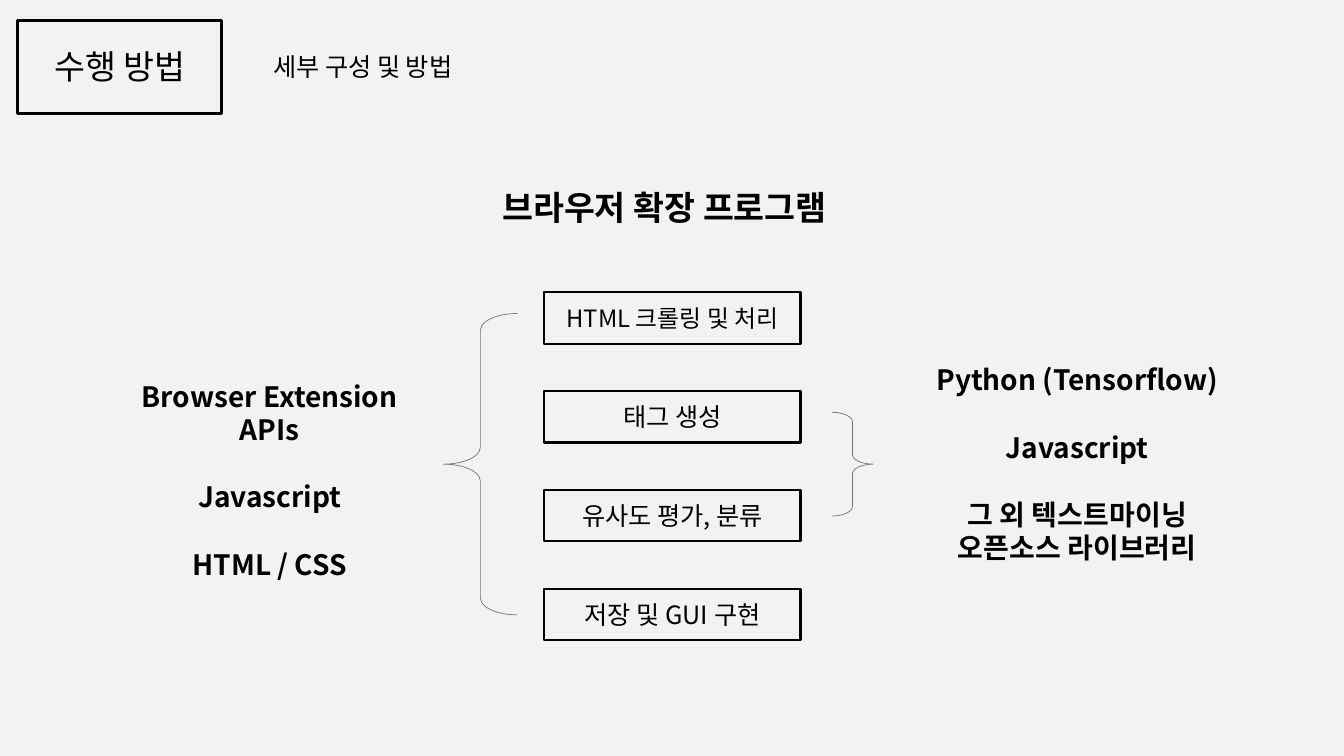
from pptx import Presentation
from pptx.dml.color import RGBColor
from pptx.enum.shapes import MSO_SHAPE
from pptx.enum.text import MSO_ANCHOR, MSO_AUTO_SIZE, PP_ALIGN
from pptx.oxml.ns import qn
from pptx.util import Pt
from lxml import etree

PX = 9144  # 100 px to the inch
FONT = "Noto Sans CJK KR"
BLACK = RGBColor(0x00, 0x00, 0x00)
GRAY = RGBColor(0x76, 0x71, 0x71)
PAPER = RGBColor(0xF2, 0xF2, 0xF2)

RECTANGLE = MSO_SHAPE.RECTANGLE
LEFT_BRACE, RIGHT_BRACE = MSO_SHAPE.LEFT_BRACE, MSO_SHAPE.RIGHT_BRACE
LEFT, CENTER = PP_ALIGN.LEFT, PP_ALIGN.CENTER
TOP, MIDDLE = MSO_ANCHOR.TOP, MSO_ANCHOR.MIDDLE
NO_AUTOFIT = MSO_AUTO_SIZE.NONE

TWO_CONTENT_LAYOUT = 3
STEPS = [
    ("HTML 크롤링 및 처리", 17),
    ("태그 생성", 18),
    ("유사도 평가, 분류", 18),
    ("저장 및 GUI 구현", 18),
]
STEP_TOP, STEP_PITCH = 290, 98
# Each tool is a text with the space before it in points
FRONT_TOOLS = [("Browser Extension APIs", 0), ("Javascript", 24), ("HTML / CSS", 24)]
ANALYSIS_TOOLS = [
    ("Python (Tensorflow)", 0),
    ("Javascript", 24),
    ("그 외 텍스트마이닝", 24),
    ("오픈소스 라이브러리", 0),
]


def scaled(bounds):
    return [length * PX for length in bounds]


def place(box, bounds):
    box.left, box.top, box.width, box.height = scaled(bounds)


def write(box, items, size, bold=False, align=CENTER, anchor=TOP):
    """Fill a box with (text, space before) paragraphs."""
    frame = box.text_frame
    frame.word_wrap = True
    frame.auto_size = NO_AUTOFIT
    frame.vertical_anchor = anchor
    for index, (text, space) in enumerate(items):
        para = frame.add_paragraph() if index else frame.paragraphs[0]
        para.text = text
        para.alignment = align
        para.space_before = Pt(space)
        # No bullet and no hanging indent
        properties = para._p.get_or_add_pPr()
        properties.set("marL", "0")
        properties.set("indent", "0")
        etree.SubElement(properties, qn("a:buNone"))
        para.font.size = Pt(size)
        para.font.bold = bold
        para.font.color.rgb = BLACK
        para.font.name = FONT
        # Korean letters take the East Asian font
        east_asian = etree.SubElement(properties.find(qn("a:defRPr")), qn("a:ea"))
        east_asian.set("typeface", FONT)


def add_label(page, bounds, text, size, bold=False, align=CENTER):
    box = page.shapes.add_textbox(*scaled(bounds))
    write(box, [(text, 0)], size, bold, align)


def add_outline(page, kind, bounds, color, width):
    shape = page.shapes.add_shape(kind, *scaled(bounds))
    shape.shadow.inherit = False
    shape.fill.background()
    shape.line.color.rgb = color
    shape.line.width = Pt(width)
    return shape


def add_brace(page, kind, bounds):
    brace = add_outline(page, kind, bounds, GRAY, 0.5)
    brace.adjustments[0] = 0.23
    brace.adjustments[1] = 0.5


def main():
    deck = Presentation()
    deck.slide_width, deck.slide_height = scaled((1333, 750))
    page = deck.slides.add_slide(deck.slide_layouts[TWO_CONTENT_LAYOUT])
    page.background.fill.solid()
    page.background.fill.fore_color.rgb = PAPER

    # Header
    title = page.shapes.title
    place(title, (23, 41, 192, 50))
    write(title, [("수행 방법", 0)], 24)
    add_outline(page, RECTANGLE, (17, 20, 203, 93), BLACK, 2)
    add_label(page, (261, 46, 433, 40), "세부 구성 및 방법", 18, align=LEFT)

    # Steps of the program
    add_label(page, (457, 181, 404, 50), "브라우저 확장 프로그램", 24, bold=True)
    for index, (text, size) in enumerate(STEPS):
        bounds = (540, STEP_TOP + index * STEP_PITCH, 254, 51)
        step = add_outline(page, RECTANGLE, bounds, BLACK, 1.5)
        write(step, [(text, 0)], size, anchor=MIDDLE)

    # Tools on either side, braced to their steps
    front, analysis = page.placeholders[1], page.placeholders[2]
    place(front, (107, 371, 321, 178))
    write(front, FRONT_TOOLS, 20, bold=True)
    add_brace(page, LEFT_BRACE, (440, 311, 73, 299))
    place(analysis, (911, 355, 315, 212))
    write(analysis, ANALYSIS_TOOLS, 20, bold=True)
    add_brace(page, RIGHT_BRACE, (825, 409, 41, 103))

    deck.save("out.pptx")


if __name__ == "__main__":
    main()
